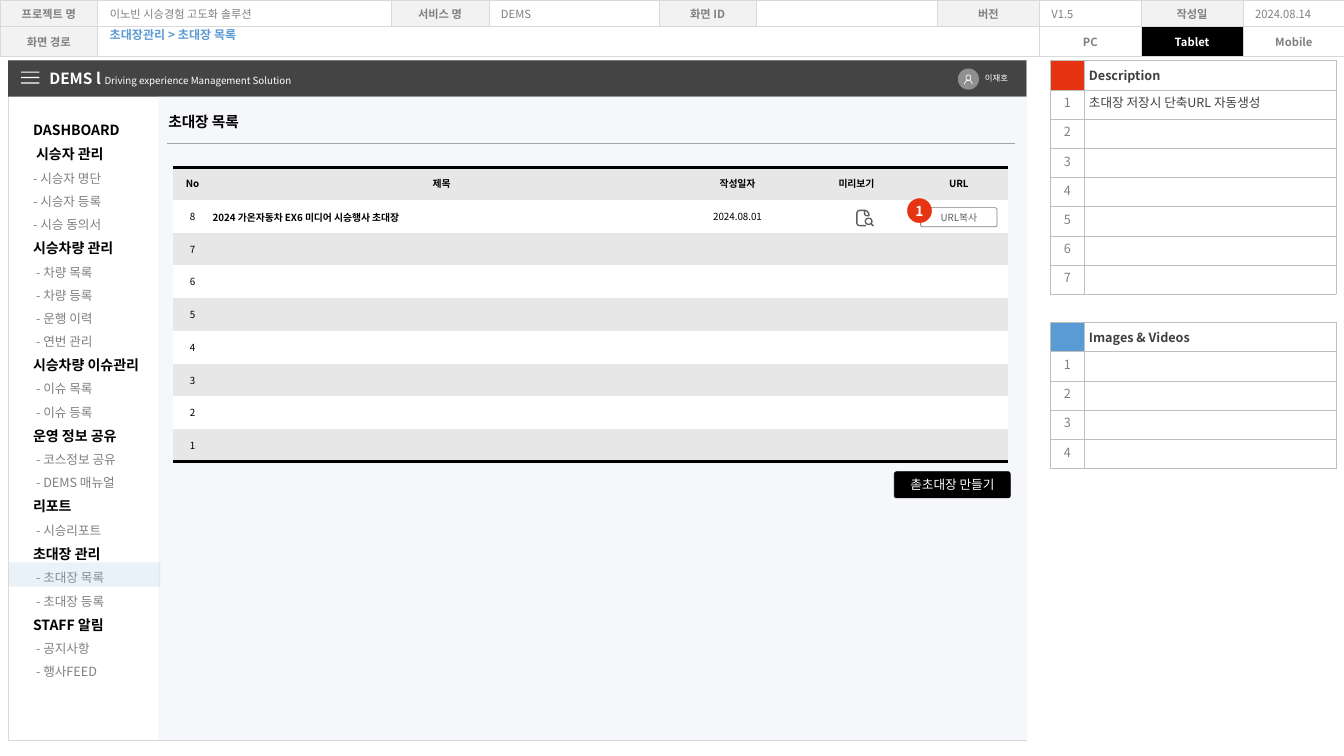
from dataclasses import dataclass
from math import cos, radians, sin

from lxml import etree
from pptx import Presentation
from pptx.dml.color import RGBColor
from pptx.enum.shapes import MSO_CONNECTOR, MSO_SHAPE
from pptx.enum.text import MSO_ANCHOR, MSO_AUTO_SIZE, PP_ALIGN
from pptx.oxml.ns import qn
from pptx.util import Inches, Pt

LEFT, CENTER = PP_ALIGN.LEFT, PP_ALIGN.CENTER
TOP, MIDDLE = MSO_ANCHOR.TOP, MSO_ANCHOR.MIDDLE
RECT, ROUND, OVAL = MSO_SHAPE.RECTANGLE, MSO_SHAPE.ROUNDED_RECTANGLE, MSO_SHAPE.OVAL
STRAIGHT = MSO_CONNECTOR.STRAIGHT
NO_FIT = MSO_AUTO_SIZE.NONE
PLAIN = "{2D5ABB26-0587-4C30-8999-92F81FD0307C}"
PAD = (0.1, 0.05, 0.1, 0.05)


@dataclass(frozen=True)
class Theme:
    font: str = "Noto Sans CJK KR"
    black: str = "000000"
    white: str = "FFFFFF"
    dark: str = "404040"
    bar: str = "444444"
    icon: str = "5F5F5F"
    gray: str = "808080"
    face: str = "8F8F8F"
    rule: str = "A5A5A5"
    grid: str = "BFBFBF"
    pale: str = "D9D9D9"
    band: str = "E7E7E7"
    label: str = "F2F2F2"
    pane: str = "F5F7FA"
    blue: str = "5B9BD5"
    glow: str = "9DC3E6"
    red: str = "E63312"
    tiny: float = 6
    small: float = 7
    base: float = 8
    trail: float = 8.6
    text: float = 9
    mark: float = 9.8
    head: float = 10
    title: float = 10.5
    brand: float = 11


T = Theme()


def say(frame, text, size=T.text, color=T.black, bold=False, align=LEFT, lead=None, dent=0, new=False):
    para = frame.add_paragraph() if new else frame.paragraphs[-1]
    para.alignment = align
    if lead:
        para.line_spacing = lead
    if dent:
        para._p.get_or_add_pPr().set("marL", str(Inches(dent)))
    if not text:
        etree.SubElement(para._p, qn("a:endParaRPr"), sz=str(int(size * 100)))
        return
    run = para.add_run()
    run.text = text
    font = run.font
    font.size, font.bold, font.name = Pt(size), bold, T.font
    font.color.rgb = RGBColor.from_string(color)
    etree.SubElement(run._r.get_or_add_rPr(), qn("a:ea"), typeface=T.font)


def fit(frame, pad=PAD, anchor=TOP, wrap=True):
    frame.margin_left, frame.margin_top, frame.margin_right, frame.margin_bottom = map(Inches, pad)
    frame.vertical_anchor, frame.word_wrap, frame.auto_size = anchor, wrap, NO_FIT
    return frame


def note(slide, box, **opts):
    return fit(slide.shapes.add_textbox(*map(Inches, box)).text_frame, **opts)


def paint(shape, fill=None, line=None, width=0.5):
    shape.shadow.inherit = False
    if fill:
        shape.fill.solid()
        shape.fill.fore_color.rgb = RGBColor.from_string(fill)
    else:
        shape.fill.background()
    if line:
        shape.line.color.rgb = RGBColor.from_string(line)
        shape.line.width = Pt(width)
    else:
        shape.line.fill.background()
    return shape


def draw(slide, kind, box, fill=None, line=None, width=0.5, bend=None):
    shape = slide.shapes.add_shape(kind, *map(Inches, box))
    if bend:
        shape.adjustments[0] = bend
    return paint(shape, fill, line, width)


def trace(slide, box, paths, closed=False, **look):
    x, y, w, h = box
    spots = [[(Inches(x + w * a), Inches(y + h * b)) for a, b in trail] for trail in paths]
    form = slide.shapes.build_freeform(*spots[0][0])
    for i, trail in enumerate(spots):
        if i:
            form.move_to(*trail[0])
        form.add_line_segments(trail[1:], close=closed)
    return paint(form.convert_to_shape(), **look)


def arc(x, y, rad, start=0, end=360):
    turns = [radians(start + (end - start) * i / 24) for i in range(25)]
    return [(x + rad * cos(a), y + rad * sin(a)) for a in turns]


def grid(slide, at, cols, rows):
    shape = slide.shapes.add_table(len(rows), len(cols), *map(Inches, (*at, sum(cols), sum(rows))))
    table = shape.table
    table.first_row = table.horz_banding = False
    table._tbl.tblPr.find(qn("a:tableStyleId")).text = PLAIN
    for part, size in [*zip(table.columns, cols)]:
        part.width = Inches(size)
    for part, size in zip(table.rows, rows):
        part.height = Inches(size)
    return table


def edge(cell, sides, color, width):
    props = cell._tc.get_or_add_tcPr()
    for side in sides:
        line = etree.SubElement(props, qn("a:ln" + side), w=str(Pt(width)))
        fill = etree.SubElement(line, qn("a:solidFill"))
        etree.SubElement(fill, qn("a:srgbClr"), val=color)


def put(cell, text="", fill=None, pad=PAD, **form):
    cell.margin_left, cell.margin_top, cell.margin_right, cell.margin_bottom = map(Inches, pad)
    cell.vertical_anchor = MIDDLE
    if fill:
        cell.fill.solid()
        cell.fill.fore_color.rgb = RGBColor.from_string(fill)
    say(cell.text_frame, text, **form)


def header(slide, box):
    x, y = box
    cols = [0.97, 2.91, 0.97, 1.69, 0.96, 1.8] + [1.01] * 4
    table = grid(slide, box, cols, [0.26, 0.3])
    top = ["프로젝트 명", "이노빈 시승경험 고도화 솔루션", "서비스 명", "DEMS", "화면 ID", "",
           "버전", "V1.5", "작성일", "2024.08.14"]
    low = ["화면 경로"] + [""] * 6 + ["PC", "Tablet", "Mobile"]
    for r, row in enumerate([top, low]):
        for c, text in enumerate(row):
            cell = table.cell(r, c)
            name = c % 2 == 0 if r == 0 else c == 0
            mid = name or (r == 1 and c > 6)
            dark = text == "Tablet"
            edge(cell, "LRTB", T.pale, 0.5)
            put(cell, text, T.black if dark else T.label if name else None, (0.12, 0.05, 0.12, 0.05),
                size=T.base, color=T.white if dark else T.gray, bold=mid, align=CENTER if mid else LEFT)
    table.cell(1, 1).merge(table.cell(1, 6))
    trail = note(slide, (x + 0.99, y + 0.26, 7.27, 0.22))
    say(trail, "초대장관리 > 초대장 목록", size=T.trail, color=T.blue, bold=True, lead=0.7)


def notes(slide, box):
    parts = [("Description", T.red, 7), ("Images & Videos", T.blue, 4)]
    rows = [0.29] * 8 + [0.28] + [0.29] * 5
    table = grid(slide, box, [0.33, 2.5], rows)
    memo = {("Description", 1): "초대장 저장시 단축URL 자동생성"}
    pad = (0.05,) * 4
    row = 0
    for name, color, count in parts:
        if row:
            for c, sides in enumerate(["TB", "RTB"]):
                edge(table.cell(row, c), sides, T.grid, 0.25)
                put(table.cell(row, c), size=T.text, pad=pad)
            table.cell(row, 0).merge(table.cell(row, 1))
            row += 1
        for i in range(count + 1):
            mark, cell = table.cell(row, 0), table.cell(row, 1)
            for part in (mark, cell):
                edge(part, "LRTB", T.grid, 0.25)
            lead = Pt(10) if i else None
            put(mark, str(i) if i else "", None if i else color, pad, color=T.gray, align=CENTER, lead=lead)
            put(cell, memo.get((name, i), "") if i else name, None, pad, color=T.dark, bold=not i, lead=lead)
            row += 1


def top_bar(slide, box):
    x, y, w, h = box
    draw(slide, RECT, box, T.bar)
    draw(slide, OVAL, (x + 9.42, y + 0.08, 0.21, 0.21), T.face)
    trace(slide, (x + 9.48, y + 0.14, 0.09, 0.1), [arc(0.5, 0.3, 0.27), arc(0.5, 0.98, 0.42, 180, 360)],
          line=T.white)
    say(note(slide, (x + 9.59, y + 0.08, 0.43, 0.2), wrap=False), "이재호", size=T.tiny, color=T.white)
    brand = note(slide, (x + 0.31, y + 0.03, 4.32, 0.29), anchor=MIDDLE)
    say(brand, "DEMS l ", size=T.brand, color=T.white, bold=True)
    say(brand, "Driving experience Management Solution", size=T.small, color=T.white)
    bars = [[(0, t), (1, t), (1, t + 0.1), (0, t + 0.1)] for t in (0, 0.45, 0.9)]
    trace(slide, (x + 0.13, y + 0.11, 0.18, 0.12), bars, closed=True, fill=T.white)


def menu(slide, box):
    x, y, w, h = box
    groups = [
        ("DASHBOARD", []),
        ("시승자 관리", ["시승자 명단", "시승자 등록", "시승 동의서"]),
        ("시승차량 관리", ["차량 목록", "차량 등록", "운행 이력", "연번 관리"]),
        ("시승차량 이슈관리", ["이슈 목록", "이슈 등록"]),
        ("운영 정보 공유", ["코스정보 공유", "DEMS 매뉴얼"]),
        ("리포트", ["시승리포트"]),
        ("초대장 관리", ["초대장 목록", "초대장 등록"]),
        ("STAFF 알림", ["공지사항", "행사FEED"]),
    ]
    frame = note(slide, (x + 0.15, y + 0.12, 1.26, 6.25), wrap=False)
    for i, (name, items) in enumerate(groups):
        say(frame, name, size=T.head, bold=True, lead=Pt(17.5), dent=0.03 if i == 1 else 0, new=i > 0)
        for item in items:
            say(frame, "- " + item, color=T.gray, lead=Pt(16.5), dent=0.03 if i > 1 else 0, new=True)
    glow = draw(slide, RECT, (x + 0.01, y + 4.62, 1.5, 0.24), T.glow)
    tint = glow.fill._xPr.find(qn("a:solidFill"))[0]
    etree.SubElement(tint, qn("a:alpha"), val="21000")


def invites(slide, box):
    x, y, w, h = box
    draw(slide, RECT, box, T.pane)
    title = slide.shapes.title
    title.element.getparent().append(title.element)
    title.left, title.top, title.width, title.height = map(Inches, (x, y + 0.11, 6.67, 0.29))
    say(fit(title.text_frame), "초대장 목록", size=T.title, bold=True)
    rule = slide.shapes.add_connector(STRAIGHT, *map(Inches, (x + 0.09, y + 0.46, x + 8.5, y + 0.46)))
    rule.line.color.rgb, rule.line.width = RGBColor.from_string(T.rule), Pt(0.5)
    etree.SubElement(rule._element.spPr, qn("a:effectLst"))
    rows = [["No", "제목", "작성일자", "미리보기", "URL"],
            ["8", "2024 가온자동차 EX6 미디어 시승행사 초대장", "2024.08.01", "", ""]]
    rows += [[str(n), "", "", "", ""] for n in range(7, 0, -1)]
    table = grid(slide, (x + 0.15, y + 0.7), [0.38, 4.56, 1.31, 1.05, 0.98], [2.92 / 9] * 9)
    for r, row in enumerate(rows):
        for c, text in enumerate(row):
            cell, name = table.cell(r, c), r == 1 and c == 1
            if r in (0, 8):
                edge(cell, "B" if r else "T", T.black, 2)
            put(cell, text, T.white if r % 2 else T.band, (0.01, 0.01, 0.01, 0) if name else PAD,
                size=T.small, bold=r == 0 or name, align=LEFT if name else CENTER)
    page = [(0.55, 0.93), (0.2, 0.93), (0.1, 0.9), (0.05, 0.8), (0.05, 0.2), (0.1, 0.08),
            (0.2, 0.04), (0.48, 0.04), (0.6, 0.08), (0.7, 0.2), (0.72, 0.36)]
    fold = [(0.48, 0.04), (0.48, 0.28), (0.54, 0.34), (0.72, 0.36)]
    trace(slide, (x + 6.92, y + 1.12, 0.18, 0.17),
          [page, fold, arc(0.7, 0.68, 0.18), [(0.83, 0.81), (0.96, 0.96)]], line=T.icon, width=1)
    copy = draw(slide, ROUND, (x + 7.56, y + 1.1, 0.76, 0.19), T.white, T.gray, bend=0.11)
    say(fit(copy.text_frame, (0.05, 0.03, 0.05, 0.03), MIDDLE), "URL복사",
        size=T.small, color=T.icon, align=CENTER)
    make = draw(slide, ROUND, (x + 7.3, y + 3.72, 1.15, 0.26), T.black, T.black, bend=0.09)
    say(fit(make.text_frame, anchor=MIDDLE), "촏초대장 만들기", color=T.white, align=CENTER)
    badge = draw(slide, OVAL, (x + 7.43, y + 1.01, 0.24, 0.24), T.red, T.red, 0.25)
    say(fit(badge.text_frame, (0.05,) * 4, MIDDLE, False), "1",
        size=T.mark, color=T.white, bold=True, align=CENTER)


def screen(slide, box):
    x, y, w, h = box
    bar = 0.36
    draw(slide, RECT, box, line=T.pale, width=0.25)
    top_bar(slide, (x, y, w, bar))
    invites(slide, (x + 1.49, y + bar, w - 1.48, h - bar))
    menu(slide, (x, y + bar, 1.49, h - bar))


def main():
    deck = Presentation()
    deck.slide_width, deck.slide_height = Inches(13.33), Inches(7.5)
    slide = deck.slides.add_slide(deck.slide_layouts[5])
    header(slide, (0, 0))
    notes(slide, (10.42, 0.6))
    screen(slide, (0.08, 0.6, 10.1, 6.74))
    deck.save("out.pptx")


if __name__ == "__main__":
    main()
